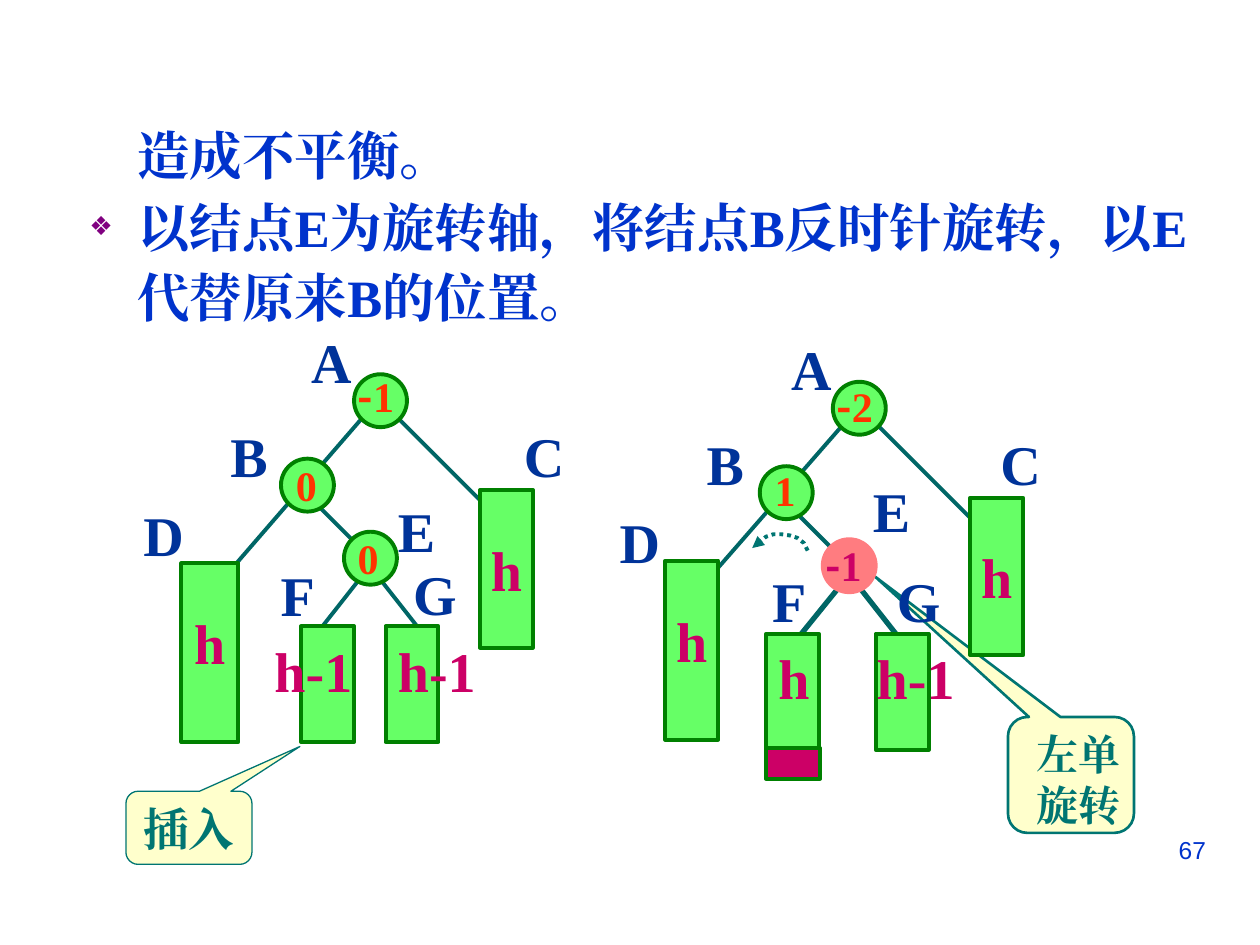
from lxml import etree
from pptx import Presentation
from pptx.dml.color import RGBColor
from pptx.enum.dml import MSO_LINE
from pptx.enum.shapes import MSO_CONNECTOR, MSO_SHAPE
from pptx.enum.text import MSO_ANCHOR, MSO_AUTO_SIZE, PP_ALIGN
from pptx.oxml.ns import qn
from pptx.util import Inches, Pt

RECTANGLE, ELLIPSE = MSO_SHAPE.RECTANGLE, MSO_SHAPE.OVAL
CALLOUT = MSO_SHAPE.ROUNDED_RECTANGULAR_CALLOUT
STRAIGHT = MSO_CONNECTOR.STRAIGHT
LEFT, CENTER, RIGHT = PP_ALIGN.LEFT, PP_ALIGN.CENTER, PP_ALIGN.RIGHT
SERIF, DASH_FONT = "Times New Roman", "Noto Sans CJK SC"
GREEN, DARK_GREEN, PINK = "66FF66", "008000", "FF7C80"
MAGENTA, ORANGE, NAVY, BLUE = "CC0066", "FF3300", "003399", "0033CC"
TEAL, EDGE_COLOR, CREAM = "007572", "006666", "FFFFCC"
NODE_SIZE = 0.42

# Content
BODY = ["造成不平衡。", "以结点E为旋转轴，将结点B反时针旋转，以E代替原来B的位置。"]
PAGE_NUMBER = "67"

# text, left, top, width, height, pointer offsets, line width, size, left inset
CALLOUTS = [
    (["插入"], 1, 6.28, 1, 0.58, (0.88, -1.113), 0.75, 26, 0.11),
    (["左单", "旋转"], 8, 5.69, 1, 0.92, (-1.556, -1.712), 1.5, 24, 0.18),
]
ROTATION_ARC = [(6.41, 4.37), (6.38, 4.31), (6.33, 4.27), (6.27, 4.25), (6.2, 4.24),
                (6.14, 4.24), (6.08, 4.26), (6.03, 4.3), (5.97, 4.35)]

# edges: from, to, width; subtrees: left, top, width, height, colour, text, line spacing
# nodes: left, top, colour; heights, labels, balances: text, left, top (colour)
BEFORE = {
    "edges": [((2.98, 4.55), (3.31, 4.97), 2.25), ((2.89, 4.55), (2.56, 4.97), 2.25),
              ((3.14, 3.3), (3.89, 4.05), 2.25), ((2.89, 3.3), (1.73, 4.64), 2.25),
              ((2.48, 3.97), (2.98, 4.47), 2.25)],
    "subtrees": [(3.81, 3.89, 0.42, 1.25, GREEN, "h", 1), (1.44, 4.47, 0.45, 1.42, GREEN, "h", 0.6),
                 (2.39, 4.97, 0.42, 0.92, GREEN, "", 1), (3.06, 4.97, 0.42, 0.92, GREEN, "", 1)],
    "nodes": [(2.81, 2.97, GREEN), (2.23, 3.64, GREEN), (2.73, 4.22, GREEN)],
    "heights": [("h-1", 2.08, 5), ("h-1", 3.06, 5)],
    "labels": [("A", 2.37, 2.55), ("B", 1.73, 3.3), ("C", 4.06, 3.3), ("D", 1.04, 3.92),
               ("E", 3.06, 3.89), ("F", 2.13, 4.4), ("G", 3.18, 4.39)],
    "balances": [("-1", 2.74, 2.89, ORANGE), ("0", 2.25, 3.6, ORANGE), ("0", 2.74, 4.18, ORANGE)],
}
AFTER = {
    "edges": [((6.7, 4.61), (6.36, 5.03), 3), ((6.78, 4.61), (7.11, 5.03), 3),
              ((6.95, 3.36), (7.7, 4.11), 2.25), ((6.7, 3.36), (5.53, 4.7), 2.25),
              ((6.28, 4.03), (6.78, 4.53), 2.25)],
    "subtrees": [(7.7, 3.95, 0.42, 1.25, GREEN, "h", 1), (5.28, 4.45, 0.42, 1.42, GREEN, "h", 0.6),
                 (6.08, 5.03, 0.42, 0.92, GREEN, "", 1), (6.95, 5.03, 0.42, 0.92, GREEN, "", 1),
                 (6.08, 5.94, 0.43, 0.24, MAGENTA, "", 1)],
    "nodes": [(6.61, 3.03, GREEN), (6.03, 3.7, GREEN), (6.53, 4.28, PINK)],
    "heights": [("h", 6.08, 5.06), ("h-1", 6.86, 5.06)],
    "labels": [("A", 6.18, 2.61), ("B", 5.51, 3.36), ("C", 7.84, 3.36), ("D", 4.82, 3.98),
               ("E", 6.83, 3.73), ("F", 6.03, 4.45), ("G", 7.02, 4.45)],
    "balances": [("-2", 6.54, 2.97, ORANGE), ("1", 6.05, 3.64, ORANGE), ("-1", 6.45, 4.23, MAGENTA)],
}
TEXT_WIDTHS = {"A": 0.52, "B": 0.5, "C": 0.52, "D": 0.52, "E": 0.5, "F": 0.47, "G": 0.55,
               "h": 0.45, "h-1": 0.82, "0": 0.37, "1": 0.37, "-1": 0.53, "-2": 0.53}


def rgb(color):
    return RGBColor.from_string(color)


def set_font(paragraph, size, color, bold=True, name=SERIF):
    font = paragraph.font
    font.size, font.bold, font.name = Pt(size), bold, name
    font.color.rgb = rgb(color)
    properties = paragraph._p.pPr.find(qn("a:defRPr"))
    etree.SubElement(properties, qn("a:ea"), typeface=name)


def set_line(shape, color, width):
    shape.line.color.rgb = rgb(color)
    shape.line.width = Pt(width)


def write(frame, lines, size, color, align=LEFT, wrap=False, **font):
    frame.word_wrap = wrap
    for index, line in enumerate(lines):
        paragraph = frame.paragraphs[0] if index == 0 else frame.add_paragraph()
        paragraph.alignment = align
        set_font(paragraph, size, color, **font)
        paragraph.add_run().text = line


def add_label(slide, text, left, top, size, color):
    box = slide.shapes.add_textbox(Inches(left), Inches(top), Inches(TEXT_WIDTHS[text]),
                                   Inches(0.63 if size == 32 else 0.5))
    if size == 24 and text.startswith("-"):
        write(box.text_frame, ["-"], size, color)
        paragraph = box.text_frame.paragraphs[0]
        paragraph.runs[0].font.name = DASH_FONT
        paragraph.add_run().text = text[1:]
    else:
        write(box.text_frame, [text], size, color)


def add_shape(slide, kind, left, top, width, height, fill, line, line_width=2.25):
    shape = slide.shapes.add_shape(kind, Inches(left), Inches(top), Inches(width), Inches(height))
    shape.shadow.inherit = False
    shape.fill.solid()
    shape.fill.fore_color.rgb = rgb(fill)
    set_line(shape, line, line_width)
    return shape


def add_callout(slide, lines, left, top, width, height, pointer, line_width, size, inset):
    shape = add_shape(slide, CALLOUT, left, top, width, height, CREAM, TEAL, line_width)
    for index, value in enumerate((*pointer, 0.167)):
        shape.adjustments[index] = value
    frame = shape.text_frame
    frame.vertical_anchor = MSO_ANCHOR.TOP
    frame.margin_left, frame.margin_right = Inches(inset), 0
    write(frame, lines, size, TEAL, wrap=True)


def add_tree(slide, tree):
    for start, end, width in tree["edges"]:
        edge = slide.shapes.add_connector(STRAIGHT, *map(Inches, start + end))
        set_line(edge, EDGE_COLOR, width)
        etree.SubElement(edge._element.spPr, qn("a:effectLst"))
    for left, top, width, height, color, text, spacing in tree["subtrees"]:
        box = add_shape(slide, RECTANGLE, left, top, width, height, color, DARK_GREEN)
        if text:
            box.text_frame.vertical_anchor = MSO_ANCHOR.MIDDLE
            write(box.text_frame, [text], 32, MAGENTA, CENTER)
            box.text_frame.paragraphs[0].line_spacing = spacing
    for left, top, color in tree["nodes"]:
        add_shape(slide, ELLIPSE, left, top, NODE_SIZE, NODE_SIZE, color,
                  DARK_GREEN if color == GREEN else color)
    for text, left, top in tree["heights"]:
        add_label(slide, text, left, top, 32, MAGENTA)
    for text, left, top in tree["labels"]:
        add_label(slide, text, left, top, 32, NAVY)
    for text, left, top, color in tree["balances"]:
        add_label(slide, text, left, top, 24, color)


def add_rotation_arrow(slide):
    points = [(Inches(x), Inches(y)) for x, y in ROTATION_ARC]
    builder = slide.shapes.build_freeform(*points[0])
    builder.add_line_segments(points[1:], close=False)
    arrow = builder.convert_to_shape()
    arrow.shadow.inherit = False
    arrow.fill.background()
    set_line(arrow, TEAL, 2.25)
    arrow.line.dash_style = MSO_LINE.ROUND_DOT
    etree.SubElement(arrow.line._get_or_add_ln(), qn("a:tailEnd"), type="triangle")


def add_body(slide):
    body = slide.placeholders[1]
    body.left, body.top, body.width, body.height = map(Inches, (0.61, 0.88, 9, 1.9))
    frame = body.text_frame
    frame.auto_size = MSO_AUTO_SIZE.NONE
    write(frame, BODY, 30, BLUE, wrap=True)
    for index, paragraph in enumerate(frame.paragraphs):
        paragraph.line_spacing = 1.1
        paragraph.space_before = Pt(1.5 * index)
        properties = paragraph._p.pPr
        properties.set("marL", str(Inches(0.38)))
        properties.set("indent", str(-Inches(0.38) * index))
        font = properties.find(qn("a:defRPr"))
        if index == 0:
            font.addprevious(etree.Element(qn("a:buNone")))
            continue
        color = etree.Element(qn("a:buClr"))
        etree.SubElement(color, qn("a:srgbClr"), val="800080")
        font.addprevious(color)
        font.addprevious(etree.Element(qn("a:buSzPct"), val="50000"))
        font.addprevious(etree.Element(qn("a:buChar"), char="❖"))


def main():
    presentation = Presentation()
    presentation.slide_width, presentation.slide_height = Inches(10), Inches(7.5)
    slide = presentation.slides.add_slide(presentation.slide_layouts[1])
    title = slide.shapes.title._element
    title.getparent().remove(title)

    # Text and page number
    add_body(slide)
    number = slide.shapes.add_textbox(Inches(7.17), Inches(6.58), Inches(2.5), Inches(0.52))
    write(number.text_frame, [PAGE_NUMBER], 14, BLUE, RIGHT, True, bold=False, name="Arial")

    # Callouts behind the two trees
    for callout in CALLOUTS:
        add_callout(slide, *callout)
    for tree in (BEFORE, AFTER):
        add_tree(slide, tree)
    add_rotation_arrow(slide)
    presentation.save("out.pptx")


if __name__ == "__main__":
    main()
